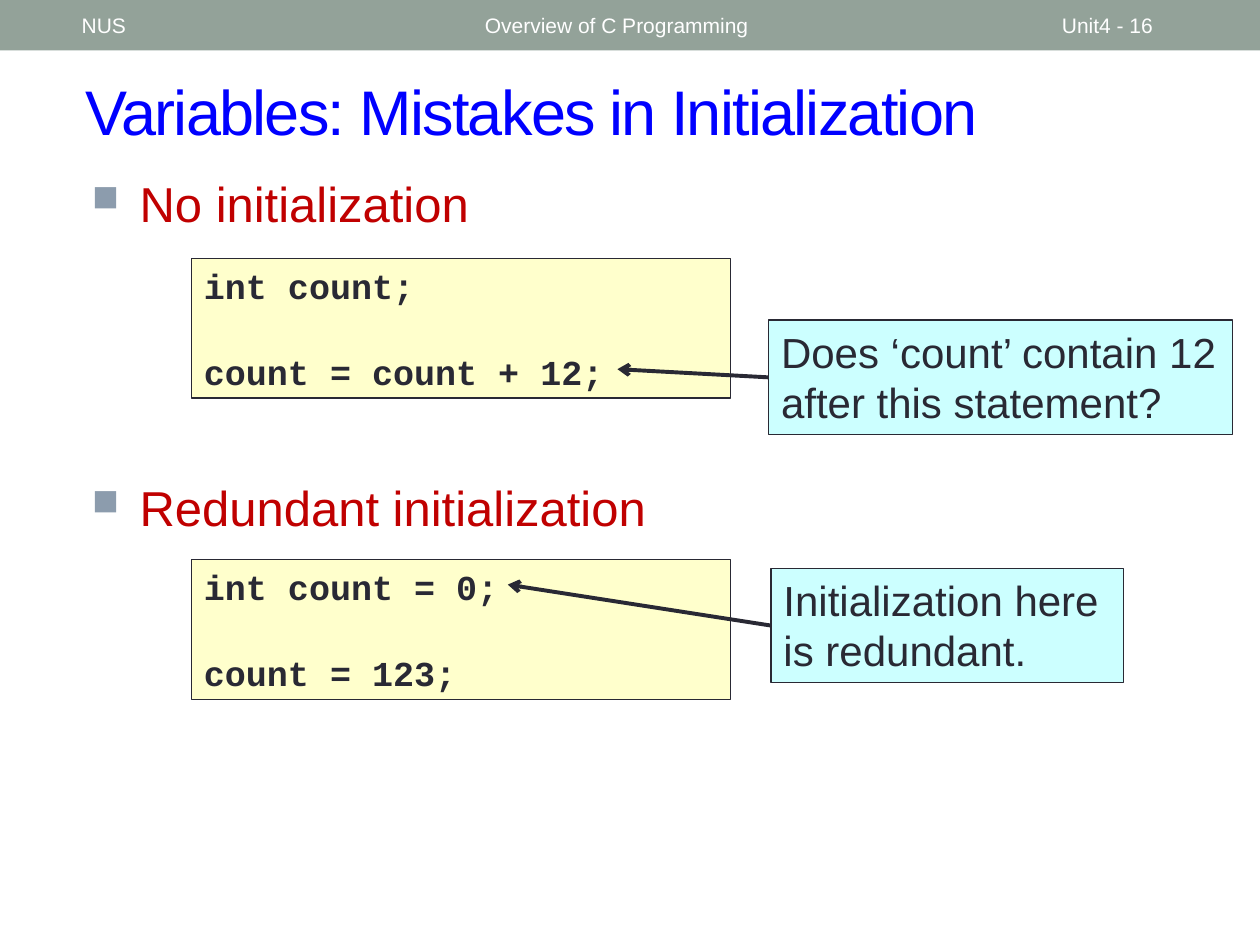
from pptx import Presentation, util as u
from pptx.dml.color import RGBColor
from pptx.enum import shapes, text
from pptx.oxml.ns import qn
from lxml import etree

THEME = {
    "bar": "93A299", "bar_text": "FFFFFF", "title": "0000FF", "heading": "C00000",
    "bullet": "8C9CAD", "ink": "292934", "code_fill": "FFFFCC", "note_fill": "CCFFFF",
    "sans": "Arial", "mono": "Courier New",
    "bar_size": 12, "title_size": 36, "heading_size": 28, "code_size": 20, "note_size": 24,
}


def style(para, kind, color, face="sans", bold=False):
    para.alignment = text.PP_ALIGN.LEFT
    font = para.font
    font.name, font.size, font.bold = THEME[face], u.Pt(THEME[kind + "_size"]), bold
    font.color.rgb = RGBColor.from_string(THEME[color])


def add_box(page, place, fill=None, line=None, anchor=text.MSO_ANCHOR.TOP):
    place = [u.Inches(n) for n in place]
    if fill:
        box = page.shapes.add_shape(shapes.MSO_SHAPE.RECTANGLE, *place)
        box.shadow.inherit = False
        box.fill.solid()
        box.fill.fore_color.rgb = RGBColor.from_string(THEME[fill])
        if line:
            box.line.color.rgb = RGBColor.from_string(THEME[line])
            box.line.width = u.Pt(0.75)
        else:
            box.line.fill.background()
    else:
        box = page.shapes.add_textbox(*place)
    box.text_frame.word_wrap = True
    box.text_frame.vertical_anchor = anchor
    return box


deck = Presentation()
deck.slide_width, deck.slide_height = u.Inches(10), u.Inches(7.5)
page = deck.slides.add_slide(deck.slide_layouts[5])

# Header bar
add_box(page, (0, 0, 10, 0.4), "bar")
for left, width, label in [(0.55, 3.12, "NUS"), (3.75, 4.5, "Overview of C Programming"),
                           (8.33, 1.17, "Unit4 - 16")]:
    box = add_box(page, (left, 0.02, width, 0.36), anchor=text.MSO_ANCHOR.MIDDLE)
    para = box.text_frame.paragraphs[0]
    para.text = label
    style(para, "bar", "bar_text")

# Title
title = page.shapes.title
title.left, title.top, title.width, title.height = [u.Inches(n) for n in (0.58, 0.5, 8.92, 0.75)]
title.text_frame.vertical_anchor = text.MSO_ANCHOR.MIDDLE
para = title.text_frame.paragraphs[0]
para.text = "Variables: Mistakes in Initialization"
style(para, "title", "title")
para.runs[0].font._element.set("spc", "-100")

# Each mistake: heading, code, note and the arrow from the note to the code
mistakes = [
    ("No initialization", 1.33, 2.05, ["int count;", "count = count + 12;"],
     "Does ‘count’ contain 12 after this statement?", (6.1, 2.54, 3.68, 0.91), (4.9, 2.93)),
    ("Redundant initialization", 3.74, 4.44, ["int count = 0;", "count = 123;"],
     "Initialization here is redundant.", (6.12, 4.51, 2.8, 0.91), (4.03, 4.64)),
]
for heading, heading_top, code_top, code, note, note_place, target in mistakes:
    box = add_box(page, (0.63, heading_top, 9.15, 0.77))
    para = box.text_frame.paragraphs[0]
    para.text = heading
    props = para._p.get_or_add_pPr()
    props.set("marL", str(u.Inches(0.38)))
    props.set("indent", str(-u.Inches(0.38)))
    bullet_color = etree.SubElement(props, qn("a:buClr"))
    etree.SubElement(bullet_color, qn("a:srgbClr"), val=THEME["bullet"])
    etree.SubElement(props, qn("a:buSzPct"), val="75000")
    etree.SubElement(props, qn("a:buChar"), char="■")
    style(para, "heading", "heading")

    box = add_box(page, (1.52, code_top, 4.28, 1.11), "code_fill", "ink")
    frame = box.text_frame
    frame.text = "\n".join(code)
    for para in frame.paragraphs:
        style(para, "code", "ink", "mono", bold=True)
    frame.paragraphs[1].space_before = u.Pt(25)

    callout = add_box(page, note_place, "note_fill", "ink")
    para = callout.text_frame.paragraphs[0]
    para.text = note
    style(para, "note", "ink")

    end_x, end_y = [u.Inches(n) for n in target]
    arrow = page.shapes.add_connector(shapes.MSO_CONNECTOR.STRAIGHT, 0, 0, end_x, end_y)
    arrow.begin_connect(callout, 1)
    arrow.line.color.rgb = RGBColor.from_string(THEME["ink"])
    arrow.line.width = u.Pt(2.25)
    etree.SubElement(arrow.line._get_or_add_ln(), qn("a:tailEnd"), type="arrow")
    etree.SubElement(arrow._element.spPr, qn("a:effectLst"))

deck.save("out.pptx")
